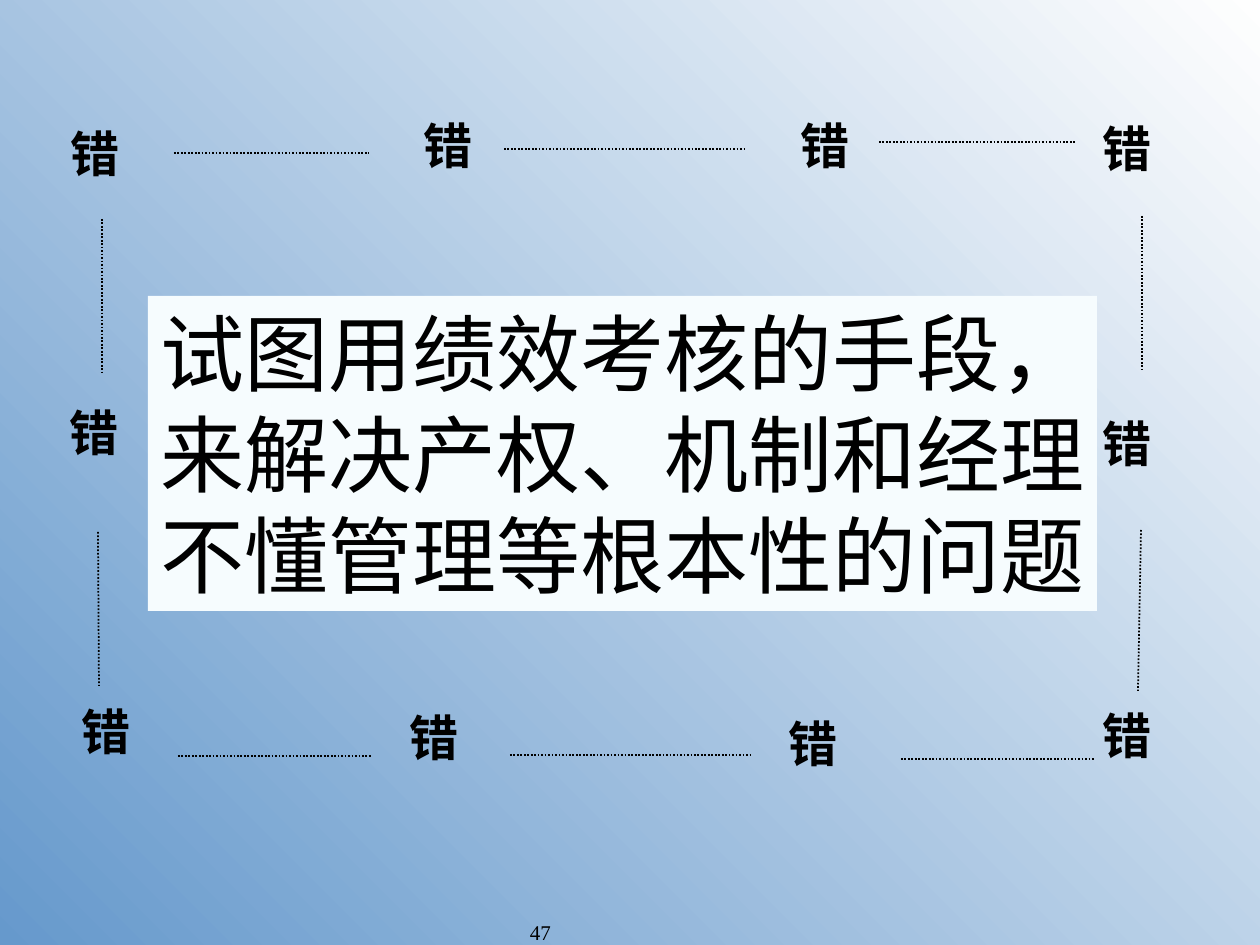
import pptx
import pptx.dml.color
import pptx.enum.dml
import pptx.enum.shapes
import pptx.enum.text
import pptx.util
import lxml.etree

SCALE = 914400 / 126  # EMU per px
CJK = "Noto Sans CJK SC"
BLACK = "000000"


def px(length):
    return pptx.util.Emu(round(length * SCALE))


def colour(code):
    return pptx.dml.color.RGBColor.from_string(code)


def add_span(para, text, size, font=CJK, bold=False):
    span = para.add_run()
    span.text = text
    span.font.size = pptx.util.Pt(size)
    span.font.bold = bold
    span.font.name = font
    span.font.color.rgb = colour(BLACK)
    east = lxml.etree.SubElement(span.font._element, pptx.oxml.ns.qn("a:ea"))
    east.set("typeface", font)


def set_margins(frame, side, end):
    frame.margin_left = frame.margin_right = px(side)
    frame.margin_top = frame.margin_bottom = px(end)


def paint_background(page):
    fill = page.background.fill
    fill.gradient()
    fill.gradient_angle = 225
    for stop, code in zip(fill.gradient_stops, ("FEFEFE", "6699CC")):
        stop.color.rgb = colour(code)


def add_mark(page, left, top):
    box = page.shapes.add_textbox(px(left), px(top), px(170), px(72))
    frame = box.text_frame
    frame.word_wrap = True
    set_margins(frame, 13, 6)
    add_span(frame.paragraphs[0], "错", 28, bold=True)


def add_dotted_line(page, *ends):
    line = page.shapes.add_connector(
        pptx.enum.shapes.MSO_CONNECTOR.STRAIGHT, *(px(end) for end in ends))
    line.line.color.rgb = colour(BLACK)
    line.line.width = pptx.util.Pt(1)
    line.line.dash_style = pptx.enum.dml.MSO_LINE.ROUND_DOT
    lxml.etree.SubElement(line._element.spPr, pptx.oxml.ns.qn("a:effectLst"))


def add_ring(page, left, top):
    """Ring of marks joined by dotted lines, relative to its top left corner."""
    marks = [
        (1, 7), (354, 0), (731, 0), (1033, 2),            # top
        (0, 286), (1033, 297),                            # sides
        (12, 586), (340, 592), (719, 598), (1033, 589),   # bottom
    ]
    lines = [
        (117, 43, 312, 43), (447, 39, 688, 39), (822, 32, 1018, 32),
        (45, 109, 45, 263), (41, 422, 42, 576),
        (1085, 106, 1085, 259), (1084, 420, 1081, 581),
        (121, 646, 315, 646), (453, 645, 695, 645), (844, 649, 1038, 649),
    ]
    for x, y in marks:
        add_mark(page, left + x, top + y)
    for x1, y1, x2, y2 in lines:
        add_dotted_line(page, left + x1, top + y1, left + x2, top + y2)


def add_statement(page, left, top, width, height):
    box = page.shapes.add_shape(pptx.enum.shapes.MSO_SHAPE.RECTANGLE,
                                px(left), px(top), px(width), px(height))
    box.shadow.inherit = False
    box.fill.solid()
    box.fill.fore_color.rgb = colour("F6FCFE")
    box.line.fill.background()
    frame = box.text_frame
    frame.word_wrap = False
    frame.vertical_anchor = pptx.enum.text.MSO_ANCHOR.TOP
    set_margins(frame, 13, 6)
    rows = ["试图用绩效考核的手段，", "来解决产权、机制和经理", "不懂管理等根本性的问题"]
    for index, row in enumerate(rows):
        para = frame.add_paragraph() if index else frame.paragraphs[0]
        para.alignment = pptx.enum.text.PP_ALIGN.CENTER
        add_span(para, row, 48)


def add_page_number(page, left, top, width, height):
    box = page.shapes.add_textbox(px(left), px(top), px(width), px(height))
    frame = box.text_frame
    frame.word_wrap = True
    frame.vertical_anchor = pptx.enum.text.MSO_ANCHOR.BOTTOM
    set_margins(frame, 0, 0)
    para = frame.paragraphs[0]
    para._p.get_or_add_pPr().set("marL", str(px(30)))
    add_span(para, "47", 12, font="Times New Roman")


def main():
    deck = pptx.Presentation()
    deck.slide_width, deck.slide_height = px(1260), px(945)
    page = deck.slides.add_slide(deck.slide_layouts[6])
    paint_background(page)
    add_ring(page, 57, 110)
    add_statement(page, 148, 296, 949, 315)
    add_page_number(page, 500, 903, 262, 42)
    deck.save("out.pptx")


if __name__ == "__main__":
    main()
